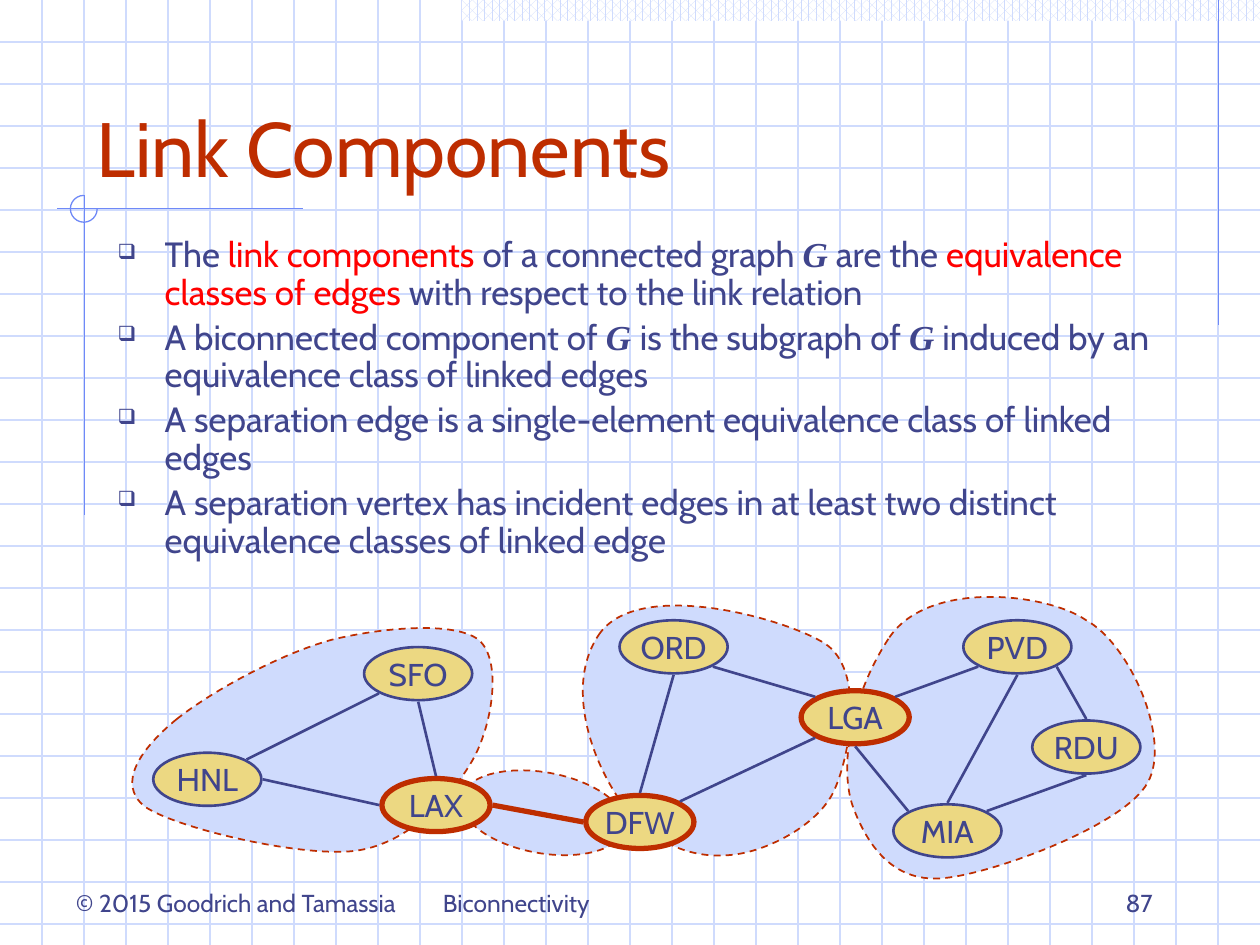
from math import cos, radians, sin

from lxml.etree import SubElement
from pptx import Presentation
from pptx.dml.color import RGBColor
from pptx.enum.dml import MSO_LINE, MSO_PATTERN
from pptx.enum.shapes import MSO_CONNECTOR, MSO_SHAPE
from pptx.enum.text import MSO_ANCHOR as Anchor, PP_ALIGN as Align
from pptx.oxml.ns import qn
from pptx.util import Cm, Pt

COLORS = {
    "ink": "40458C", "accent": "BE2D00", "key": "FF0000", "rule": "6F89F7",
    "region": "CFDBFD", "node": "ECD882", "paper": "FFFFFF",
}
PAGE_WIDTH, PAGE_HEIGHT = 25.4, 19.05
GRID_STEP = PAGE_WIDTH / 30
NODE_WIDTH, NODE_HEIGHT = 2.18, 1.07
HAIR, THIN, THICK = 0.75, 1.5, 3
SITES = {"right": 0, "lower right": 45, "bottom": 90, "lower left": 135,
         "left": 180, "upper left": 225, "top": 270, "upper right": 315}
NODES = {
    "ORD": (13.58, 13.04), "PVD": (20.51, 13.04), "MIA": (19.1, 16.75),
    "DFW": (12.9, 16.57), "SFO": (8.43, 13.58), "LAX": (8.79, 16.23),
    "LGA": (17.24, 14.46), "HNL": (4.18, 15.71), "RDU": (21.9, 15.06),
}
SEPARATION_VERTICES = {"DFW", "LAX", "LGA"}
EDGES = [
    ("DFW", "top", "ORD", "bottom"),
    ("DFW", "upper right", "LGA", "lower left"),
    ("LGA", "upper right", "PVD", "lower left"),
    ("HNL", "right", "LAX", "left"),
    ("SFO", "bottom", "LAX", "top"),
    ("LGA", "bottom", "MIA", "upper left"),
    ("LGA", "upper left", "ORD", "lower right"),
    ("LAX", "right", "DFW", "left"),
    ("HNL", "upper right", "SFO", "lower left"),
    ("MIA", "top", "PVD", "bottom"),
    ("MIA", "upper right", "RDU", "bottom"),
    ("RDU", "top", "PVD", "lower right"),
]
SEPARATION_EDGE = ("LAX", "DFW")
REGIONS = [
    [(17.93, 12.85), (18.72, 11.68), (21.11, 11.96), (21.89, 12.5),
     (22.78, 12.98), (23.62, 14.91), (23.14, 15.77),
     (22.68, 16.64), (20.04, 17.6), (19.05, 17.7),
     (18.06, 17.81), (17.53, 17.12), (17.22, 16.33),
     (16.89, 15.52), (17.15, 14.02), (17.93, 12.85)],
    [(12.07, 12.8), (12.85, 11.63), (15.85, 12.47), (16.64, 12.98),
     (17.42, 13.51), (17.15, 15.16), (16.84, 15.88),
     (16.56, 16.59), (15.54, 17.12), (14.86, 17.22),
     (14.2, 17.32), (13.44, 17.17), (12.78, 16.48),
     (12.12, 15.8), (11.28, 13.97), (12.07, 12.8)],
    [(3.56, 14.5), (4.29, 13.92), (5.66, 13.18), (6.68, 12.9),
     (7.7, 12.65), (9.17, 12.52), (9.65, 12.9),
     (10.13, 13.31), (9.93, 14.61), (9.53, 15.32),
     (9.12, 16.03), (8.28, 16.99), (7.19, 17.15),
     (6.1, 17.3), (3.53, 16.69), (2.92, 16.26),
     (2.34, 15.8), (2.84, 15.09), (3.56, 14.5)],
]
BULLETS = [
    [("The ", "plain"), ("link components ", "key"),
     ("of a connected graph ", "plain"), ("G", "math"), (" are the ", "plain"),
     ("equivalence classes of edges", "key"),
     (" with respect to the link relation", "plain")],
    [("A biconnected component of ", "plain"), ("G ", "math"),
     ("is the subgraph of ", "plain"), ("G", "math"),
     (" induced by an equivalence class of linked edges", "plain")],
    [("A separation edge is a single-element equivalence class of linked edges", "plain")],
    [("A separation vertex has incident edges in at least two distinct "
      "equivalence classes of linked edge", "plain")],
]


def color(name):
    """Return the named colour."""
    return RGBColor.from_string(COLORS[name])


def site(name, side):
    """Return the point just outside a node's border on the given side."""
    x, y = NODES[name]
    gap = 0.05 if name in SEPARATION_VERTICES else 0.03
    angle = radians(SITES[side])
    return (x + (NODE_WIDTH / 2 + gap) * cos(angle),
            y + (NODE_HEIGHT / 2 + gap) * sin(angle))


class Painter:
    """Holds the style and the current page."""

    font = "Cabin"
    math_font = "Times New Roman"

    def __init__(self, page):
        self.shapes = page.shapes

    def style(self, span, size, ink="ink", font=None):
        """Format one run."""
        span.font.name = font or self.font
        span.font.size = Pt(size)
        span.font.color.rgb = color(ink)

    def box(self, left, top, width, height, anchor=Anchor.TOP):
        """Add an empty wrapping text box and return its frame."""
        frame = self.shapes.add_textbox(Cm(left), Cm(top), Cm(width), Cm(height)).text_frame
        frame.word_wrap = True
        frame.vertical_anchor = anchor
        return frame

    def label(self, text, area, size, ink="ink", align=Align.LEFT, anchor=Anchor.BOTTOM):
        """Add a one-line text box."""
        frame = self.box(*area, anchor)
        frame.text = text
        para = frame.paragraphs[0]
        para.alignment = align
        self.style(para.runs[0], size, ink)

    def bullet(self, para):
        """Give a paragraph a hanging square bullet."""
        props = para._p.get_or_add_pPr()
        props.set("marL", str(Cm(0.95)))
        props.set("indent", str(-Cm(0.95)))
        tint = SubElement(props, qn("a:buClr"))
        SubElement(tint, qn("a:srgbClr")).set("val", COLORS["ink"])
        SubElement(props, qn("a:buSzPct")).set("val", "60000")
        SubElement(props, qn("a:buChar")).set("char", "❑")

    def bullets(self, items, area, size):
        """Add a bulleted list of mixed runs."""
        frame = self.box(*area)
        for index, item in enumerate(items):
            para = frame.add_paragraph() if index else frame.paragraphs[0]
            self.bullet(para)
            para.line_spacing = 0.9
            para.space_before = Pt(size * 0.2 if index else 0)
            for text, kind in item:
                span = para.add_run()
                span.text = text
                math = kind == "math"
                self.style(span, size, "key" if kind == "key" else "ink",
                           self.math_font if math else None)
                span.font.bold = span.font.italic = math

    def line(self, start, end, ink="ink", weight=THIN):
        """Add a straight line."""
        link = self.shapes.add_connector(
            MSO_CONNECTOR.STRAIGHT, *(Cm(value) for value in (*start, *end)))
        link.line.color.rgb = color(ink)
        link.line.width = Pt(weight)
        SubElement(link._element.spPr, qn("a:effectLst"))

    def shape(self, kind, left, top, width, height):
        """Add a preset shape without shadow."""
        shape = self.shapes.add_shape(kind, Cm(left), Cm(top), Cm(width), Cm(height))
        shape.shadow.inherit = False
        return shape

    def paint(self, shape, fill, ink, weight):
        """Fill and outline a shape."""
        shape.fill.solid()
        shape.fill.fore_color.rgb = color(fill)
        shape.line.color.rgb = color(ink)
        shape.line.width = Pt(weight)

    def dashed(self, shape):
        """Paint a shape as a component region."""
        shape.shadow.inherit = False
        self.paint(shape, "region", "accent", 1)
        shape.line.dash_style = MSO_LINE.DASH

    def region(self, controls):
        """Add a component region bounded by cubic curves."""
        points = [(Cm(x), Cm(y)) for x, y in controls]
        builder = self.shapes.build_freeform(*points[0])
        builder.add_line_segments(points[1:], close=True)
        shape = builder.convert_to_shape()
        segments = list(shape._element.iter(qn("a:lnTo")))
        for first in range(0, len(segments), 3):
            trio = segments[first:first + 3]
            outline = trio[0].getparent()
            curve = SubElement(outline, qn("a:cubicBezTo"))
            outline.replace(trio[0], curve)
            for segment in trio:
                curve.append(segment[0])
            for segment in trio[1:]:
                outline.remove(segment)
        self.dashed(shape)

    def node(self, name):
        """Add a graph vertex."""
        x, y = NODES[name]
        shape = self.shape(MSO_SHAPE.OVAL, x - NODE_WIDTH / 2, y - NODE_HEIGHT / 2,
                           NODE_WIDTH, NODE_HEIGHT)
        special = name in SEPARATION_VERTICES
        self.paint(shape, "node", "accent" if special else "ink", THICK if special else THIN)
        frame = shape.text_frame
        frame.text = name
        frame.word_wrap = False
        frame.vertical_anchor = Anchor.MIDDLE
        frame.paragraphs[0].alignment = Align.CENTER
        self.style(frame.paragraphs[0].runs[0], 18)

    def grid(self):
        """Add the evenly spaced background grid."""
        for row in range(1, 23):
            self.line((0, row * GRID_STEP), (PAGE_WIDTH, row * GRID_STEP), "region", HAIR)
        for column in range(1, 30):
            self.line((column * GRID_STEP, 0), (column * GRID_STEP, PAGE_HEIGHT), "region", HAIR)

    def frame(self):
        """Add the decorative band, rules and crosshair."""
        band = self.shape(MSO_SHAPE.RECTANGLE, 9.31, 0, 16.09, 0.42)
        band.fill.patterned()
        band.fill.pattern = MSO_PATTERN.PERCENT_60
        band.fill.fore_color.rgb = color("region")
        band.fill.back_color.rgb = color("paper")
        band.line.fill.background()
        for start, end in [((24.56, 0), (24.56, 6.55)), ((6.1, 4.21), (1.14, 4.21)),
                           ((1.7, 3.94), (1.7, 10.39))]:
            self.line(start, end, "rule", HAIR)
        arc = self.shape(MSO_SHAPE.ARC, 1.42, 3.94, 0.54, 0.54)
        arc.adjustments[0], arc.adjustments[1] = 0, 162
        arc.fill.background()
        arc.line.color.rgb = color("rule")
        arc.line.width = Pt(HAIR)


def main():
    """Build the slide."""
    deck = Presentation()
    deck.slide_width, deck.slide_height = Cm(PAGE_WIDTH), Cm(PAGE_HEIGHT)
    painter = Painter(deck.slides.add_slide(deck.slide_layouts[6]))
    painter.grid()
    painter.frame()
    painter.label("© 2015 Goodrich and Tamassia", (1.28, 17.78, 7.47, 0.86), 14, anchor=Anchor.TOP)
    painter.label("Biconnectivity", (8.68, 17.35, 8.05, 1.27), 14)
    painter.label("87", (18.21, 17.35, 5.28, 1.27), 14, align=Align.RIGHT)
    painter.label("Link Components", (1.7, 0.84, 21.59, 3.18), 44, "accent")
    painter.bullets(BULLETS, (2.12, 4.66, 22.23, 6.99), 20)
    bridge = painter.shape(MSO_SHAPE.OVAL, 9.27, 15.57, 3.35, 1.63)
    bridge.rotation = 10.2
    painter.dashed(bridge)
    for controls in REGIONS:
        painter.region(controls)
    for name in NODES:
        painter.node(name)
    for tail, tail_side, head, head_side in EDGES:
        special = (tail, head) == SEPARATION_EDGE
        painter.line(site(tail, tail_side), site(head, head_side),
                     "accent" if special else "ink", THICK if special else THIN)
    deck.save("out.pptx")


if __name__ == "__main__":
    main()
